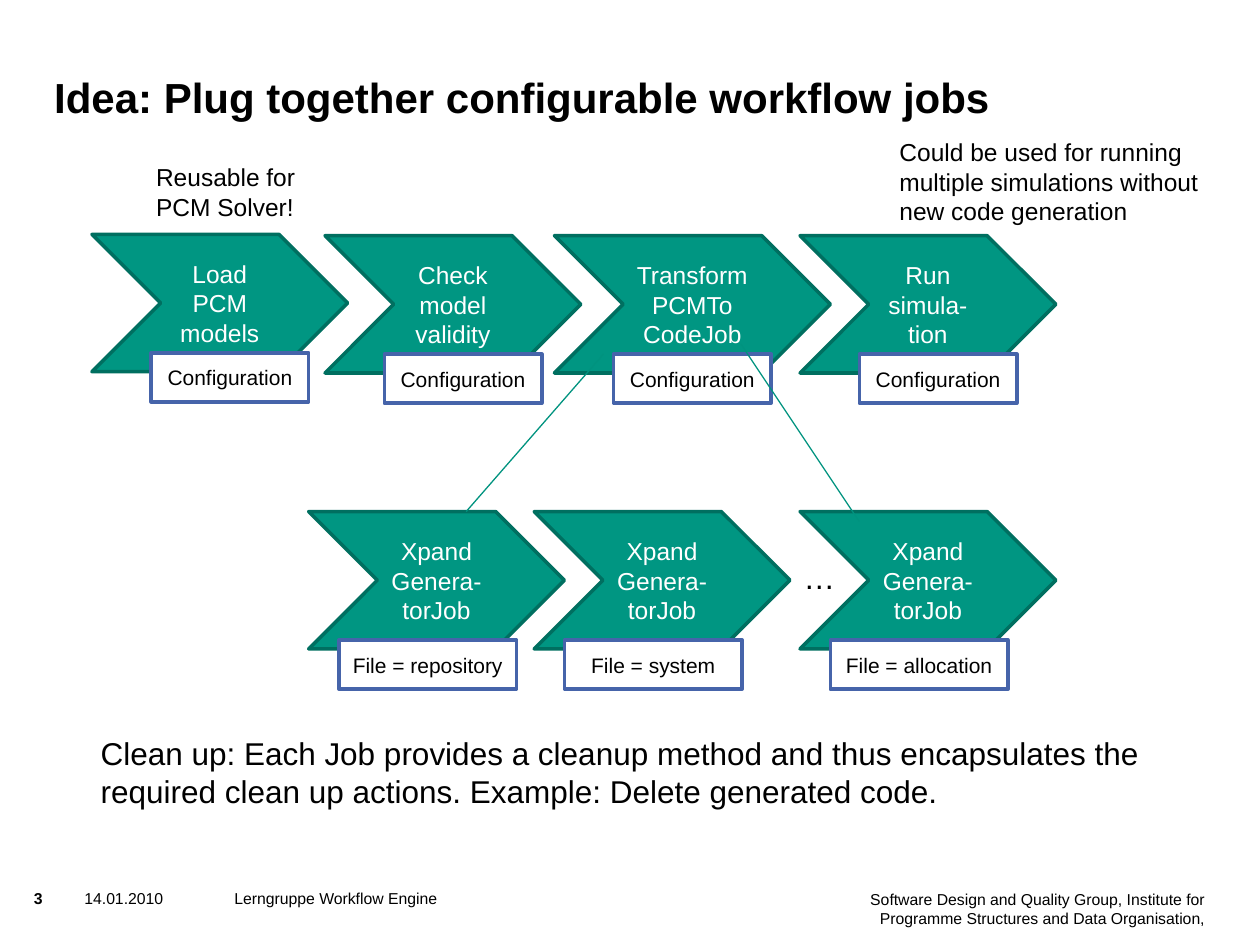
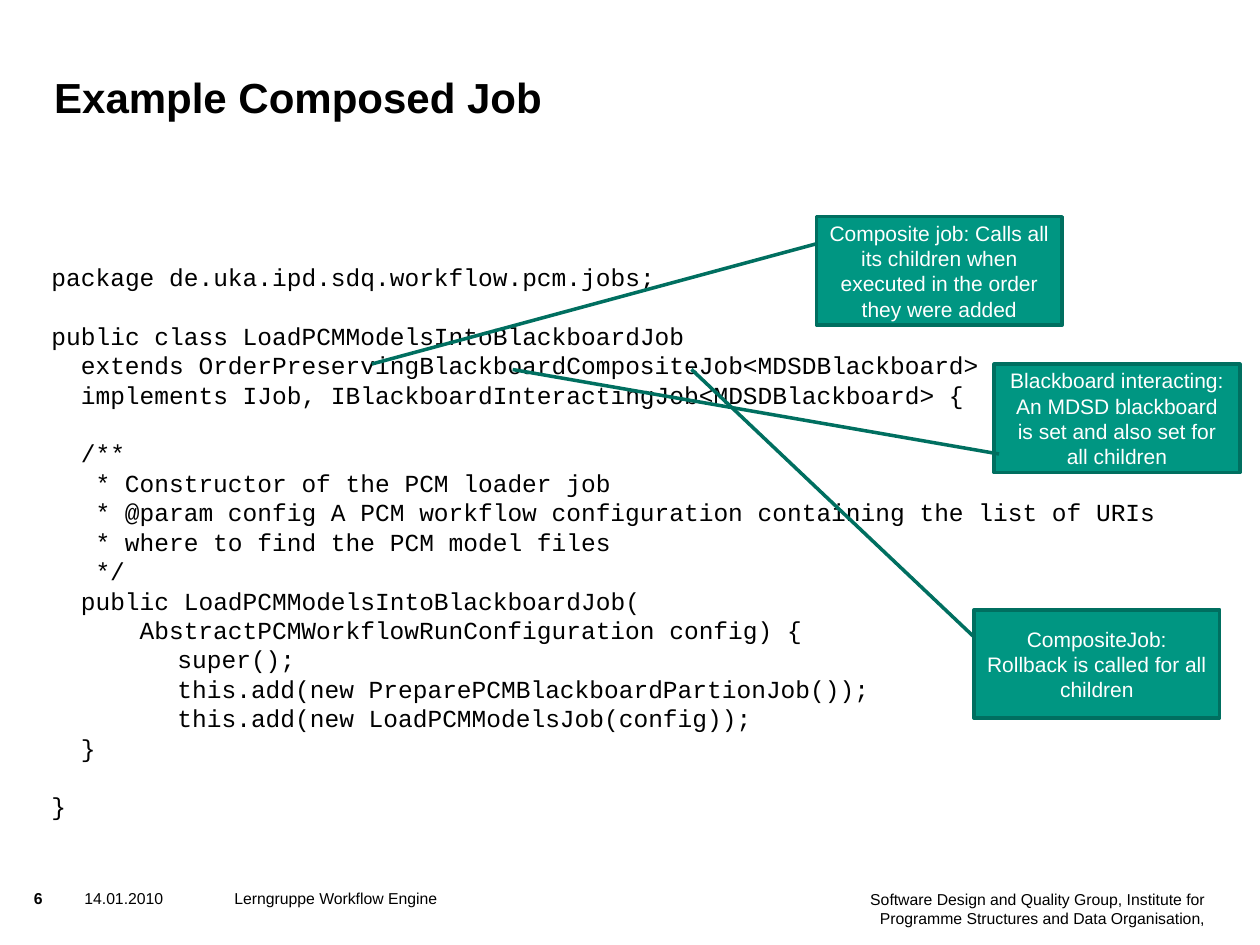
from dataclasses import dataclass

import pptx
import pptx.dml.color
import pptx.enum.shapes
import pptx.enum.text
import pptx.oxml.ns
import pptx.presentation
import pptx.shapes.base
import pptx.slide
import pptx.text.text
import pptx.util
from lxml import etree
from pptx.util import Inches

ALIGN = pptx.enum.text.PP_ALIGN
ANCHOR = pptx.enum.text.MSO_ANCHOR
SHAPE = pptx.enum.shapes.MSO_SHAPE


@dataclass(frozen=True)
class Theme:
    sans: str = "Arial"
    mono: str = "Courier New"
    black: str = "000000"
    white: str = "FFFFFF"
    green: str = "009682"
    dark_green: str = "006F60"
    link_green: str = "00937F"
    blue: str = "4664AA"
    title_size: float = 24
    large_size: float = 18
    text_size: float = 14
    label_size: float = 12
    footer_size: float = 9
    outline: float = 2
    thin_line: float = 0.75


THEME = Theme()


@dataclass(frozen=True)
class TextStyle:
    size: float
    color: str = THEME.black
    bold: bool = False
    font: str = THEME.sans
    align: ALIGN = ALIGN.LEFT


@dataclass(frozen=True)
class Area:
    left: float
    top: float
    width: float
    height: float

    def lengths(self) -> tuple:
        return tuple(Inches(n) for n in (self.left, self.top, self.width, self.height))


@dataclass(frozen=True)
class Job:
    name: str
    setting: str
    left: float
    top: float
    width: float = 2.03


@dataclass(frozen=True)
class JobRow:
    """Where the setting box sits relative to its job arrow."""
    setting_dx: float
    setting_dy: float
    setting_width: float
    jobs: tuple


@dataclass(frozen=True)
class Note:
    text: str
    area: Area
    style: TextStyle
    wrap: bool = True


@dataclass(frozen=True)
class Callout:
    text: str
    left: float
    top: float
    pointer: tuple


@dataclass(frozen=True)
class CodeLine:
    text: str
    columns: float = 0
    after_gap: bool = False


TITLE = TextStyle(THEME.title_size, bold=True)
FOOTER = TextStyle(THEME.footer_size)
NOTE = TextStyle(THEME.text_size)
LARGE = TextStyle(THEME.large_size)
CODE = TextStyle(THEME.text_size, font=THEME.mono)
JOB = TextStyle(THEME.text_size, THEME.white, align=ALIGN.CENTER)
SETTING = TextStyle(THEME.label_size, align=ALIGN.CENTER)
CALLOUT = TextStyle(THEME.label_size, THEME.white, align=ALIGN.CENTER)

# Content of the workflow slide
CONFIGURATION = "Configuration"
GENERATOR = "Xpand Genera-torJob"
JOB_HEIGHT = 1.09
SETTING_HEIGHT = 0.39
JOB_ROWS = (
    JobRow(0.47, 0.94, 1.25, (
        Job("Load PCM models", CONFIGURATION, 0.73, 1.86),
        Job("Check model validity", CONFIGURATION, 2.58, 1.87),
        Job("TransformPCMTo CodeJob", CONFIGURATION, 4.4, 1.87, 2.19),
        Job("Run simula-tion", CONFIGURATION, 6.35, 1.87),
    )),
    JobRow(0.24, 1.02, 1.41, (
        Job(GENERATOR, "File = repository", 2.45, 4.06),
        Job(GENERATOR, "File = system", 4.24, 4.06),
        Job(GENERATOR, "File = allocation", 6.35, 4.06),
    )),
)
EXPANSION_LINES = ((4.79, 2.81, 3.7, 4.06), (5.88, 2.73, 6.82, 4.14))
NOTES = (
    Note("…", Area(6.28, 4.38, 0.45, 0.4), LARGE, wrap=False),
    Note("Reusable for PCM Solver!", Area(1.14, 1.24, 1.37, 0.81), NOTE),
    Note("Could be used for running multiple simulations without new code generation",
         Area(7.04, 1.04, 2.66, 1.04), NOTE),
    Note("Clean up: Each Job provides a cleanup method and thus encapsulates the "
         "required clean up actions. Example: Delete generated code.",
         Area(0.7, 5.78, 8.83, 0.71), LARGE),
)

# Content of the code slide
COLUMN_WIDTH = 0.6 * THEME.text_size / 72
CODE_LINE_HEIGHT = 16.8
TAB = 1 / COLUMN_WIDTH
CODE_AREA = Area(0.31, 2.03, 9.69, 4.58)
CODE_LINES = (
    CodeLine("package de.uka.ipd.sdq.workflow.pcm.jobs;"),
    CodeLine("public class LoadPCMModelsIntoBlackboardJob", after_gap=True),
    CodeLine("extends OrderPreservingBlackboardCompositeJob<MDSDBlackboard>", 2),
    CodeLine("implements IJob, IBlackboardInteractingJob<MDSDBlackboard> {", 2),
    CodeLine("/**", 2, after_gap=True),
    CodeLine("* Constructor of the PCM loader job", 3),
    CodeLine("* @param config A PCM workflow configuration containing the list of URIs", 3),
    CodeLine("* where to find the PCM model files", 3),
    CodeLine("*/", 3),
    CodeLine("public LoadPCMModelsIntoBlackboardJob(", 2),
    CodeLine("AbstractPCMWorkflowRunConfiguration config) {", 6),
    CodeLine("super();", TAB),
    CodeLine("this.add(new PreparePCMBlackboardPartionJob());", TAB),
    CodeLine("this.add(new LoadPCMModelsJob(config));", TAB),
    CodeLine("}", 2),
    CodeLine("}", after_gap=True),
)
CALLOUTS = (
    Callout("Composite job: Calls all its children when executed in the order they were added",
            6.48, 1.72, (0.25, 0, 1.36, -1.81)),
    Callout("Blackboard interacting: An MDSD blackboard is set and also set for all children",
            7.89, 2.89, (0.83, 0.02, 0.05, -1.96)),
    Callout("CompositeJob: Rollback is called for all children",
            7.73, 4.84, (0.25, 0, -2.22, -1.15)),
)


def rgb(color: str) -> pptx.dml.color.RGBColor:
    return pptx.dml.color.RGBColor.from_string(color)


def write(para: pptx.text.text._Paragraph, text: str, style: TextStyle) -> None:
    para.alignment = style.align
    span = para.add_run()
    span.text = text
    span.font.name = style.font
    span.font.size = pptx.util.Pt(style.size)
    span.font.bold = style.bold
    span.font.color.rgb = rgb(style.color)


def clear_margins(frame: pptx.text.text.TextFrame) -> None:
    frame.margin_left = frame.margin_right = 0
    frame.margin_top = frame.margin_bottom = 0


def add_text(page: pptx.slide.Slide, text: str, area: Area, style: TextStyle,
             wrap: bool = True) -> pptx.text.text.TextFrame:
    frame = page.shapes.add_textbox(*area.lengths()).text_frame
    frame.word_wrap = wrap
    write(frame.paragraphs[0], text, style)
    return frame


def add_box(page: pptx.slide.Slide, kind: SHAPE, text: str, area: Area,
            style: TextStyle, fill: str, line: str) -> pptx.shapes.base.BaseShape:
    box = page.shapes.add_shape(kind, *area.lengths())
    box.shadow.inherit = False
    box.fill.solid()
    box.fill.fore_color.rgb = rgb(fill)
    box.line.color.rgb = rgb(line)
    box.line.width = pptx.util.Pt(THEME.outline)
    box.text_frame.word_wrap = True
    box.text_frame.vertical_anchor = ANCHOR.MIDDLE
    write(box.text_frame.paragraphs[0], text, style)
    return box


def add_line(page: pptx.slide.Slide, ends: tuple) -> None:
    line = page.shapes.add_connector(
        pptx.enum.shapes.MSO_CONNECTOR.STRAIGHT, *(Inches(n) for n in ends))
    line.line.color.rgb = rgb(THEME.link_green)
    line.line.width = pptx.util.Pt(THEME.thin_line)
    etree.SubElement(line._element.spPr, pptx.oxml.ns.qn("a:effectLst"))


def add_page(deck: pptx.presentation.Presentation, title: str, number: int) -> pptx.slide.Slide:
    """Add a slide with the shared title and footer."""
    page = deck.slides.add_slide(deck.slide_layouts.get_by_name("Title Only"))
    heading = page.shapes.title
    heading.left, heading.top, heading.width, heading.height = Area(0.43, 0.36, 7.56, 0.61).lengths()
    clear_margins(heading.text_frame)
    heading.text_frame.vertical_anchor = ANCHOR.BOTTOM
    write(heading.text_frame.paragraphs[0], title, TITLE)

    footers = (
        ("Software Design and Quality Group, Institute for Programme Structures "
         "and Data Organisation,", Area(6.57, 7.06, 2.99, 0.39),
         TextStyle(THEME.footer_size, align=ALIGN.RIGHT)),
        (str(number), Area(0.27, 7.05, 0.36, 0.24), TextStyle(THEME.footer_size, bold=True)),
        ("14.01.2010", Area(0.67, 7.05, 0.94, 0.39), FOOTER),
        ("Lerngruppe Workflow Engine", Area(1.86, 7.05, 4.65, 0.39), FOOTER),
    )
    for text, area, style in footers:
        clear_margins(add_text(page, text, area, style))
    return page


def add_job(page: pptx.slide.Slide, job: Job, row: JobRow) -> None:
    add_box(page, SHAPE.CHEVRON, job.name, Area(job.left, job.top, job.width, JOB_HEIGHT),
            JOB, THEME.green, THEME.dark_green)
    setting_area = Area(job.left + row.setting_dx, job.top + row.setting_dy,
                        row.setting_width, SETTING_HEIGHT)
    add_box(page, SHAPE.RECTANGLE, job.setting, setting_area, SETTING, THEME.white, THEME.blue)


def add_code(page: pptx.slide.Slide) -> None:
    frame = page.shapes.add_textbox(*CODE_AREA.lengths()).text_frame
    frame.word_wrap = True
    for index, line in enumerate(CODE_LINES):
        para = frame.add_paragraph() if index else frame.paragraphs[0]
        write(para, line.text, CODE)
        if line.after_gap:
            para.space_before = pptx.util.Pt(CODE_LINE_HEIGHT)
        # Indent by whole code columns
        indent = Inches(line.columns * COLUMN_WIDTH)
        para._p.get_or_add_pPr().set("marL", str(indent))


def add_callout(page: pptx.slide.Slide, callout: Callout) -> None:
    box = add_box(page, SHAPE.LINE_CALLOUT_1, callout.text,
                  Area(callout.left, callout.top, 1.95, 0.86),
                  CALLOUT, THEME.green, THEME.dark_green)
    for index, value in enumerate(callout.pointer):
        box.adjustments[index] = value


def main() -> None:
    deck = pptx.Presentation()
    deck.slide_width, deck.slide_height = Inches(10), Inches(7.5)

    # Workflow of jobs
    page = add_page(deck, "Idea: Plug together configurable workflow jobs", 3)
    for row in JOB_ROWS:
        for job in row.jobs:
            add_job(page, job, row)
    for ends in EXPANSION_LINES:
        add_line(page, ends)
    for note in NOTES:
        add_text(page, note.text, note.area, note.style, note.wrap)

    # Code with callouts
    page = add_page(deck, "Example Composed Job", 6)
    add_code(page)
    for callout in CALLOUTS:
        add_callout(page, callout)

    deck.save("out.pptx")


if __name__ == "__main__":
    main()
